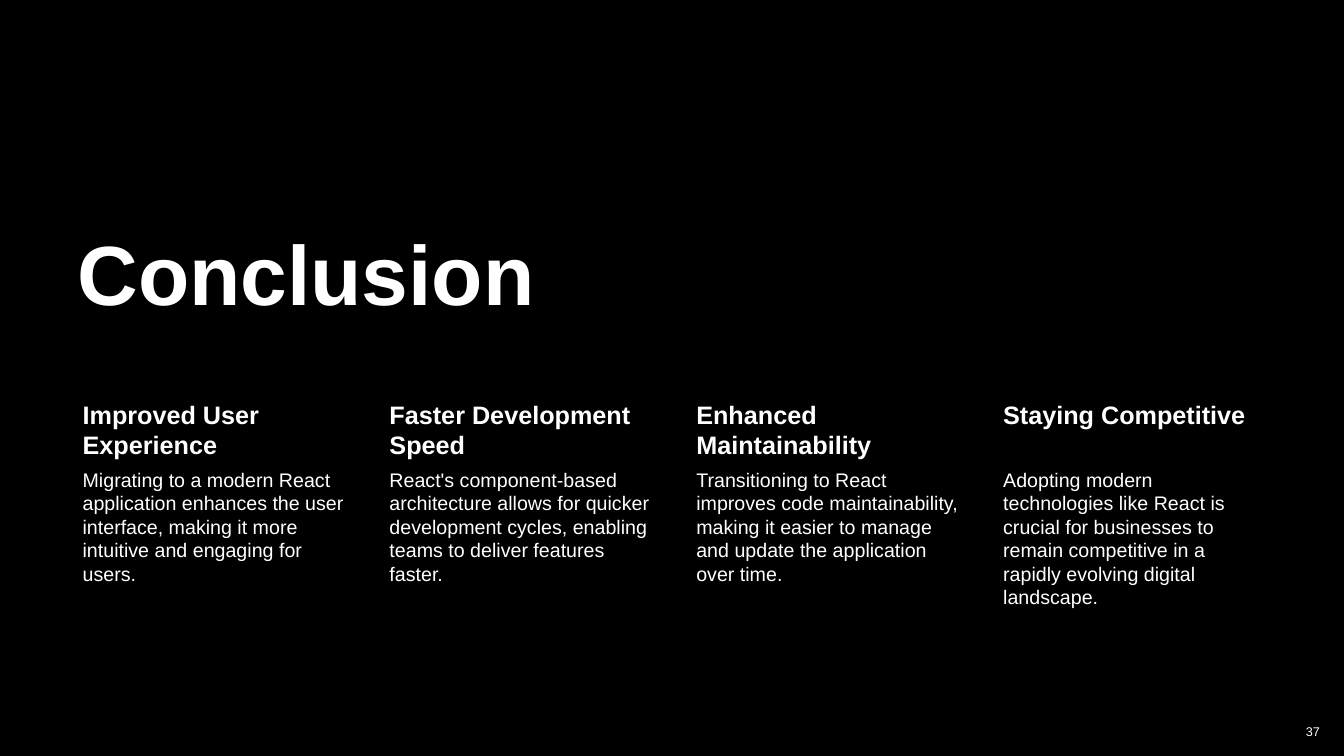
from dataclasses import dataclass

from pptx import Presentation
from pptx import util as u
from pptx.dml.color import RGBColor
from pptx.enum import text as t


@dataclass(frozen=True)
class Theme:
    font: str = "Arial"
    background: RGBColor = RGBColor(0x00, 0x00, 0x00)
    ink: RGBColor = RGBColor(0xFF, 0xFF, 0xFF)
    title_size: int = 60
    heading_size: int = 18
    body_size: int = 14
    number_size: int = 9


CONCLUSIONS = [
    ("Improved User Experience",
     "Migrating to a modern React application enhances the user interface, "
     "making it more intuitive and engaging for users."),
    ("Faster Development Speed",
     "React's component-based architecture allows for quicker development "
     "cycles, enabling teams to deliver features faster."),
    ("Enhanced Maintainability",
     "Transitioning to React improves code maintainability, making it easier "
     "to manage and update the application over time."),
    ("Staying Competitive",
     "Adopting modern technologies like React is crucial for businesses to "
     "remain competitive in a rapidly evolving digital landscape."),
]
LEFT, LAST_LEFT = 0.67, 9.8
COLUMN_WIDTH = 2.77
COLUMN_PITCH = (LAST_LEFT - LEFT) / (len(CONCLUSIONS) - 1)
HEADING_TOP, HEADING_HEIGHT = 3.93, 0.69
BODY_HEIGHT = 2.05


class SlideBuilder:
    def __init__(self, slide, theme):
        self.slide = slide
        self.theme = theme
        fill = slide.background.fill
        fill.solid()
        fill.fore_color.rgb = theme.background

    def add_text(self, content, left, top, width, height, *, size, bold=False,
                 align=t.PP_ALIGN.LEFT, anchor=t.MSO_ANCHOR.TOP,
                 insets=(0.1, 0.05, 0.1, 0.05), line_spacing=1.0):
        """Place a text box; insets run left, top, right, bottom in inches."""
        box = self.slide.shapes.add_textbox(
            *(u.Inches(length) for length in (left, top, width, height)))
        frame = box.text_frame
        frame.word_wrap = True
        frame.vertical_anchor = anchor
        (frame.margin_left, frame.margin_top,
         frame.margin_right, frame.margin_bottom) = map(u.Inches, insets)
        paragraph = frame.paragraphs[0]
        paragraph.alignment = align
        paragraph.line_spacing = line_spacing
        run = paragraph.add_run()
        run.text = content
        run.font.name = self.theme.font
        run.font.size = u.Pt(size)
        run.font.bold = bold
        run.font.color.rgb = self.theme.ink

    def add_title(self, content):
        self.add_text(content, LEFT, 2.02, 8.03, 1.24,
                      size=self.theme.title_size, bold=True,
                      anchor=t.MSO_ANCHOR.BOTTOM, line_spacing=0.9)

    def add_column(self, left, heading, body):
        self.add_text(heading, left, HEADING_TOP, COLUMN_WIDTH, HEADING_HEIGHT,
                      size=self.theme.heading_size, bold=True,
                      insets=(0.15, 0.03, 0.03, 0.03))
        self.add_text(body, left, HEADING_TOP + HEADING_HEIGHT,
                      COLUMN_WIDTH, BODY_HEIGHT, size=self.theme.body_size,
                      insets=(0.15, 0.02, 0.02, 0.02))

    def add_page_number(self, number):
        self.add_text(number, 12.72, 7.06, 0.47, 0.4,
                      size=self.theme.number_size, align=t.PP_ALIGN.RIGHT,
                      anchor=t.MSO_ANCHOR.MIDDLE)


def main():
    presentation = Presentation()
    presentation.slide_width = u.Inches(13.33)
    presentation.slide_height = u.Inches(7.5)
    blank_layout = presentation.slide_layouts[6]
    builder = SlideBuilder(presentation.slides.add_slide(blank_layout), Theme())

    builder.add_title("Conclusion")
    for index, (heading, body) in enumerate(CONCLUSIONS):
        builder.add_column(LEFT + index * COLUMN_PITCH, heading, body)
    builder.add_page_number("37")

    presentation.save("out.pptx")


if __name__ == "__main__":
    main()
